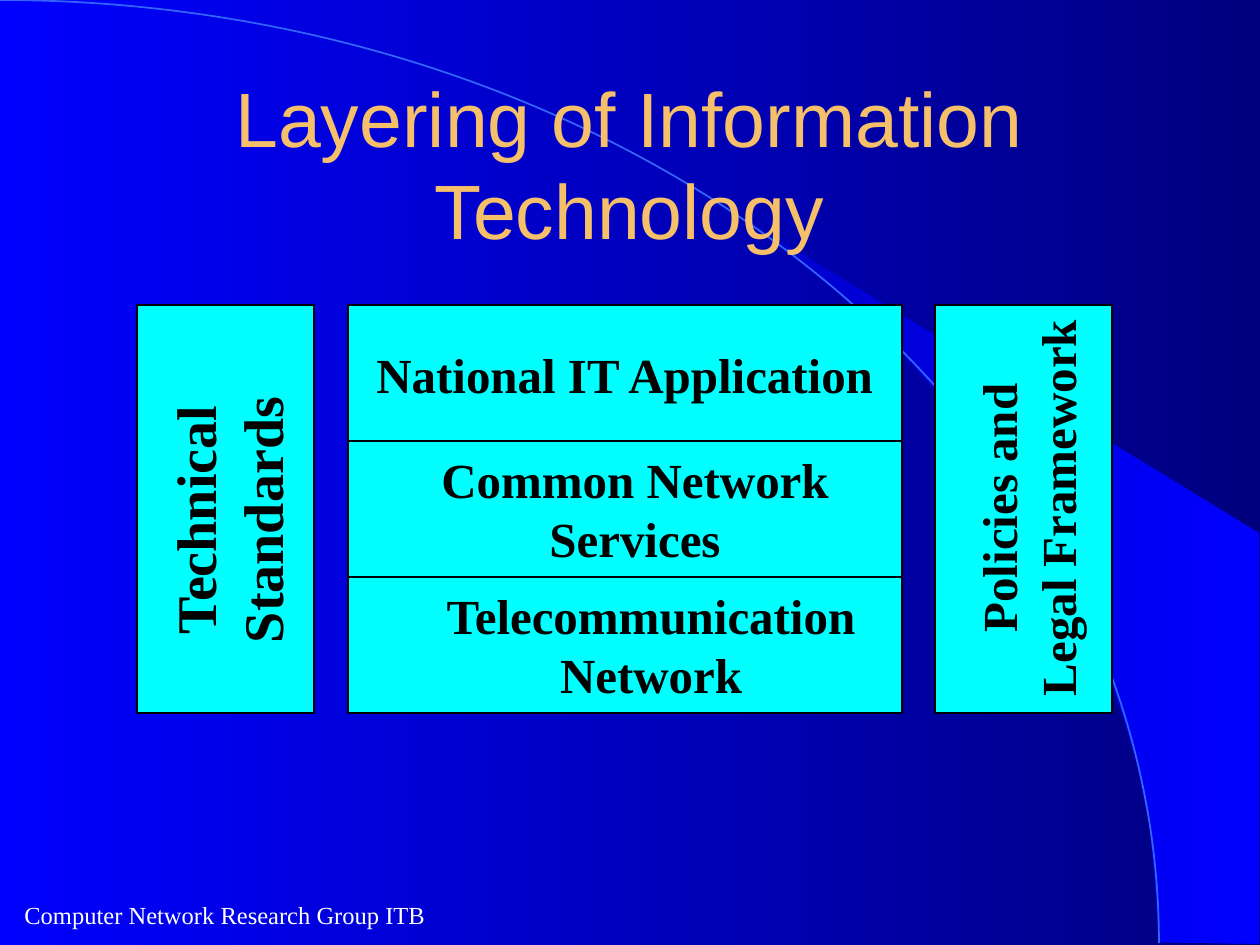
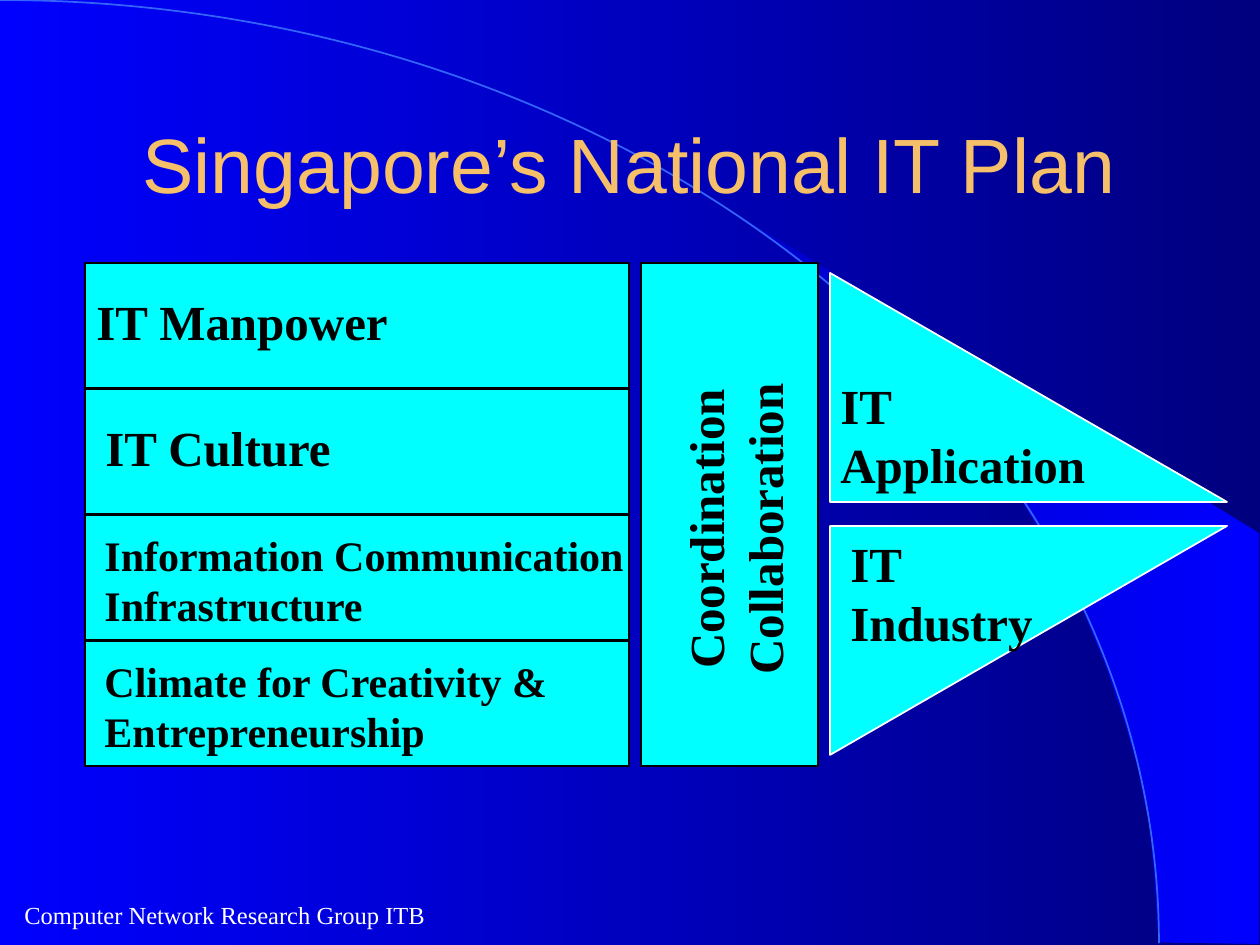
from dataclasses import dataclass

from pptx import Presentation
from pptx.dml.color import RGBColor
from pptx.enum.shapes import MSO_SHAPE
from pptx.enum.text import MSO_ANCHOR, MSO_AUTO_SIZE, PP_ALIGN
from pptx.slide import Slide, SlideLayout
from pptx.util import Inches, Pt

PX_PER_INCH = 126

NAVY = RGBColor(0x00, 0x00, 0x7E)
BLUE = RGBColor(0x00, 0x00, 0xFF)
MID_BLUE = RGBColor(0x00, 0x00, 0xCB)
ARC_BLUE = RGBColor(0x33, 0x65, 0xFB)
CYAN = RGBColor(0x00, 0xFF, 0xFF)
GOLD = RGBColor(0xF6, 0xBF, 0x69)
BLACK = RGBColor(0x00, 0x00, 0x00)
WHITE = RGBColor(0xFF, 0xFF, 0xFF)

TITLE_FONT = "Arial"
LABEL_FONT = "Times New Roman"
FOOTER = "Computer Network Research Group ITB"

# Outline of the bright sweep: right-hand edge, then down along the arc
SWEEP = [
    (1159, 942), (1259, 944), (1259, 533), (742, 218), (786, 251), (823, 280),
    (863, 315), (902, 353), (960, 416), (1012, 484), (1048, 543), (1081, 604),
    (1106, 665), (1125, 721), (1138, 767), (1150, 827), (1155, 877),
]


@dataclass(frozen=True)
class Box:
    left: int
    top: int
    width: int
    height: int

    def emu(self) -> list[int]:
        return [px(n) for n in (self.left, self.top, self.width, self.height)]


@dataclass(frozen=True)
class Panel:
    box: Box
    kind: MSO_SHAPE = MSO_SHAPE.RECTANGLE
    line: RGBColor = BLACK
    rotation: int = 0


@dataclass(frozen=True)
class Label:
    lines: tuple[str, ...]
    box: Box
    size: int = 28
    align: PP_ALIGN = PP_ALIGN.LEFT
    rotation: int = 0
    color: RGBColor = BLACK
    bold: bool = True
    anchor: MSO_ANCHOR = MSO_ANCHOR.TOP


def px(length: int) -> int:
    return round(length * Inches(1) / PX_PER_INCH)


def fill_gradient(fill, start: RGBColor, end: RGBColor) -> None:
    """Run from start at the right to end at the left."""
    fill.gradient()
    fill.gradient_angle = 180
    for stop, color in zip(fill.gradient_stops, (start, end)):
        stop.color.rgb = color


def stack(first: Box, count: int, pitch: int) -> list[Panel]:
    return [Panel(Box(first.left, first.top + row * pitch, first.width, first.height))
            for row in range(count)]


def add_panel(slide: Slide, panel: Panel) -> None:
    shape = slide.shapes.add_shape(panel.kind, *panel.box.emu())
    shape.shadow.inherit = False
    shape.rotation = panel.rotation
    shape.fill.solid()
    shape.fill.fore_color.rgb = CYAN
    shape.line.color.rgb = panel.line
    shape.line.width = Pt(1)


def add_label(slide: Slide, label: Label):
    shape = slide.shapes.add_textbox(*label.box.emu())
    shape.rotation = label.rotation
    frame = shape.text_frame
    frame.text = "\n".join(label.lines)
    frame.word_wrap = False
    frame.auto_size = MSO_AUTO_SIZE.SHAPE_TO_FIT_TEXT
    frame.vertical_anchor = label.anchor
    for paragraph in frame.paragraphs:
        paragraph.alignment = label.align
        paragraph.font.name = LABEL_FONT
        paragraph.font.size = Pt(label.size)
        paragraph.font.bold = label.bold
        paragraph.font.color.rgb = label.color
    return shape


def add_backdrop(slide: Slide, layout: SlideLayout) -> None:
    """Draw the sweep, arc and footer, then hand them to the shared layout."""
    builder = slide.shapes.build_freeform(*SWEEP[0], scale=px(1))
    builder.add_line_segments(SWEEP[1:], close=True)
    sweep = builder.convert_to_shape()
    sweep.shadow.inherit = False
    fill_gradient(sweep.fill, BLUE, MID_BLUE)
    sweep.line.fill.background()

    # The default arc is the upper right quarter of its ellipse
    arc = slide.shapes.add_shape(MSO_SHAPE.ARC, *Box(-1159, 0, 2318, 1886).emu())
    arc.shadow.inherit = False
    arc.fill.background()
    arc.line.color.rgb = ARC_BLUE
    arc.line.width = Pt(1)

    footer = add_label(slide, Label((FOOTER,), Box(12, 894, 428, 42), 14, color=WHITE,
                                    bold=False, anchor=MSO_ANCHOR.MIDDLE))

    for shape_id, part in enumerate((sweep, arc, footer), start=100):
        part.element.xpath(".//p:cNvPr")[0].set("id", str(shape_id))
        layout.shapes.element.append(part.element)


def set_title(slide: Slide, text: str) -> None:
    title = slide.shapes.title
    title.left, title.top, title.width, title.height = Box(94, 84, 1071, 158).emu()
    frame = title.text_frame
    frame.text = text
    frame.word_wrap = True
    frame.auto_size = MSO_AUTO_SIZE.NONE
    frame.vertical_anchor = MSO_ANCHOR.MIDDLE
    paragraph = frame.paragraphs[0]
    paragraph.alignment = PP_ALIGN.CENTER
    paragraph.font.name = TITLE_FONT
    paragraph.font.size = Pt(44)
    paragraph.font.color.rgb = GOLD


def add_diagram(slide: Slide, title: str, panels: list[Panel], labels: list[Label]) -> None:
    set_title(slide, title)
    for panel in panels:
        add_panel(slide, panel)
    for label in labels:
        add_label(slide, label)


def main() -> None:
    deck = Presentation()
    deck.slide_width, deck.slide_height = Inches(10), Inches(7.5)
    fill_gradient(deck.slide_master.background.fill, NAVY, BLUE)
    layout = deck.slide_layouts.get_by_name("Title Only")
    layering = deck.slides.add_slide(layout)
    add_backdrop(layering, layout)
    center = PP_ALIGN.CENTER

    # Three layers between two upright pillars
    add_diagram(
        layering,
        "Layering of Information Technology",
        stack(Box(348, 305, 554, 136), 3, 136)
        + [Panel(Box(left, 305, 177, 408)) for left in (137, 935)],
        [
            Label(("National IT Application",), Box(364, 338, 529, 71)),
            Label(("Common Network", "Services"), Box(420, 443, 430, 130), align=center),
            Label(("Telecommunication", "Network"), Box(426, 579, 450, 130), align=center),
            Label(("Technical", "Standards"), Box(92, 447, 271, 146), 32, center, 270),
            Label(("Policies and", "Legal Framework"), Box(822, 443, 410, 130), 28, center, 270),
        ],
    )

    # Four foundations, a joining bar and two wedges
    triangle = MSO_SHAPE.RIGHT_TRIANGLE
    add_diagram(
        deck.slides.add_slide(layout),
        "Singapore’s National IT Plan",
        stack(Box(85, 263, 544, 125), 4, 126)
        + [
            Panel(Box(641, 263, 177, 503)),
            Panel(Box(830, 273, 397, 229), triangle, WHITE),
            Panel(Box(914, 442, 229, 397), triangle, WHITE, 90),
        ],
        [
            Label(("IT Manpower",), Box(83, 285, 318, 71), align=center),
            Label(("IT Culture",), Box(93, 411, 252, 71)),
            Label(("Information Communication", "Infrastructure"), Box(92, 523, 548, 113), 24),
            Label(("Climate for Creativity &", "Entrepreneurship"), Box(92, 649, 472, 113), 24),
            Label(("Coordination", "Collaboration"), Box(574, 464, 320, 130), 28, center, 270),
            Label(("IT", "Application"), Box(828, 369, 274, 130)),
            Label(("IT", "Industry"), Box(838, 527, 210, 130)),
        ],
    )

    deck.save("out.pptx")


if __name__ == "__main__":
    main()
